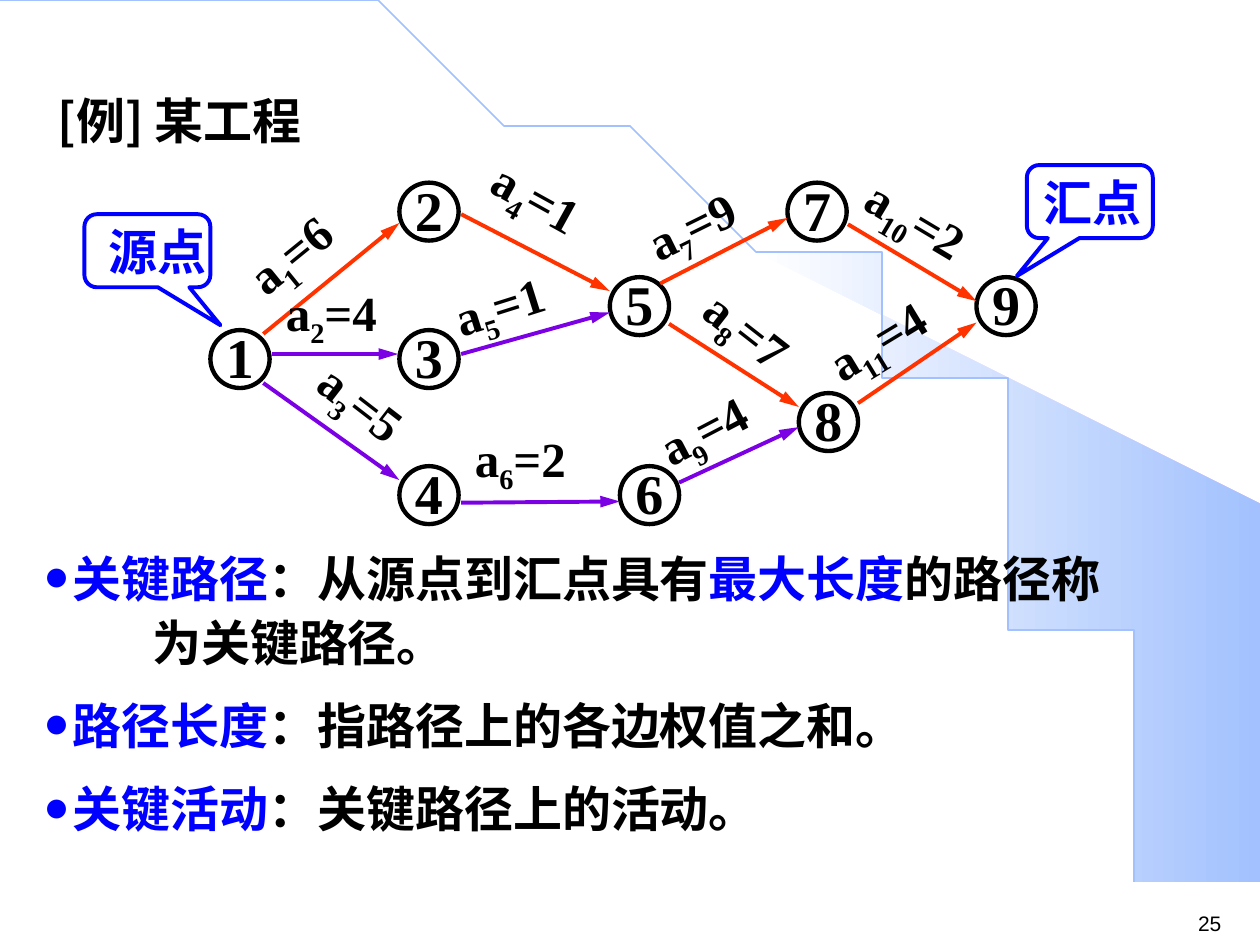
"""Build the slide on critical paths in an activity-on-edge network."""
from math import asin, cos, pi, sin

from lxml.etree import SubElement
from pptx import Presentation
from pptx.dml.color import RGBColor
from pptx.enum.shapes import MSO_CONNECTOR, MSO_SHAPE
from pptx.enum.text import MSO_ANCHOR, PP_ALIGN
from pptx.oxml.ns import qn
from pptx.util import Inches, Pt

THEME = {
    "black": RGBColor(0x00, 0x00, 0x00),
    "blue": RGBColor(0x00, 0x00, 0xFF),
    "critical": RGBColor(0xFF, 0x33, 0x00),
    "normal": RGBColor(0x7B, 0x00, 0xE4),
    "white": RGBColor(0xFF, 0xFF, 0xFF),
    "sky": RGBColor(0xA2, 0xC1, 0xFE),
    "cjk": "Noto Sans CJK SC",
    "latin": "Times New Roman",
    "number": "Arial",
    "body_size": Pt(28),
    "node_size": Pt(32),
    "number_size": Pt(12),
}

TITLE = "[例] 某工程"
DEFINITIONS = [
    {"bullet": True, "before": 0, "left": 0.21,
     "runs": [("关键路径", "blue"), ("：从源点到汇点具有", "black"),
              ("最大长度", "blue"), ("的路径称", "black")]},
    {"bullet": False, "before": 0, "left": 0.84,
     "runs": [("为关键路径。", "black")]},
    {"bullet": True, "before": 11, "left": 0.21,
     "runs": [("路径长度", "blue"), ("：指路径上的各边权值之和。", "black")]},
    {"bullet": True, "before": 11, "left": 0.21,
     "runs": [("关键活动", "blue"), ("：关键路径上的活动。", "black")]},
]
PAGE_NUMBER = "25"

NODE_WIDTH, NODE_HEIGHT = 0.47, 0.46
NODES = {
    "1": (1.67, 2.62), "2": (3.17, 1.45), "3": (3.17, 2.62),
    "4": (3.17, 3.70), "5": (4.84, 2.20), "6": (4.92, 3.70),
    "7": (6.25, 1.45), "8": (6.34, 3.12), "9": (7.75, 2.20),
}
# index, weight, kind, start, end, label left and top, label rotation
ACTIVITIES = [
    ("1", 6, "critical", (2.09, 2.65), (3.17, 1.77), (1.81, 1.65), 320.9),
    ("2", 4, "normal", (2.16, 2.81), (3.16, 2.81), (2.17, 2.19), 0),
    ("3", 5, "normal", (2.09, 3.04), (3.17, 3.81), (2.36, 3.06), 37.7),
    ("4", 1, "critical", (3.66, 1.70), (4.84, 2.31), (3.77, 1.40), 28.9),
    ("5", 1, "normal", (3.66, 2.81), (4.84, 2.48), (3.49, 2.06), 342.4),
    ("6", 2, "normal", (3.66, 3.99), (4.92, 3.98), (3.67, 3.35), 0),
    ("7", 9, "critical", (5.24, 2.25), (6.25, 1.73), (5.00, 1.39), 333.8),
    ("8", 7, "critical", (5.31, 2.57), (6.34, 3.23), (5.42, 2.48), 38),
    ("9", 4, "normal", (5.39, 3.83), (6.34, 3.39), (5.09, 3.01), 332.4),
    ("10", 2, "critical", (6.73, 1.78), (7.75, 2.39), (6.73, 1.55), 30.9),
    ("11", 4, "critical", (6.81, 3.20), (7.75, 2.56), (6.42, 2.31), 328.8),
]
LABEL_WIDTHS = {"1": 1.17}
# text, left, top, horizontal tail offset, left inset
CALLOUTS = [("汇点", 8.15, 1.31, -0.58, 0.04), ("源点", 0.67, 1.70, 0.58, 0.16)]
ARC_WIDTH, ARC_HEIGHT = 9.2, 7.49


def apply(target, values):
    """Set each named attribute of the target."""
    for name, value in values.items():
        setattr(target, name, value)


def add_run(paragraph, text, color="black", size="body_size", font="cjk", bold=True):
    """Append a styled run and return it."""
    run = paragraph.add_run()
    run.text = text
    apply(run.font, {"name": THEME[font], "size": THEME[size], "bold": bold})
    run.font.color.rgb = THEME[color]
    east_asian = SubElement(run.font._element, qn("a:ea"))
    east_asian.set("typeface", THEME["cjk"])
    return run


def add_text_box(slide, left, top, width, height):
    """Add a wrapping text box."""
    box = slide.shapes.add_textbox(*map(Inches, (left, top, width, height)))
    box.text_frame.word_wrap = True
    return box


def add_outline(slide, kind, bounds, color, weight, insets):
    """Add an unfilled preset shape whose text is centred."""
    shape = slide.shapes.add_shape(kind, *map(Inches, bounds))
    shape.shadow.inherit = False
    shape.fill.background()
    shape.line.color.rgb = THEME[color]
    shape.line.width = Pt(weight)
    left, bottom = map(Inches, insets)
    apply(shape.text_frame, {
        "margin_left": left, "margin_right": 0, "margin_top": 0,
        "margin_bottom": bottom, "word_wrap": False,
        "vertical_anchor": MSO_ANCHOR.MIDDLE})
    shape.text_frame.paragraphs[0].alignment = PP_ALIGN.CENTER
    return shape


def arc_points(start_angle, steps=60):
    """Return points on the quarter ellipse, ending at its foot."""
    angles = [start_angle + (pi / 2 - start_angle) * step / steps
              for step in range(steps + 1)]
    return [(ARC_WIDTH * sin(angle), ARC_HEIGHT * (1 - cos(angle))) for angle in angles]


def add_freeform(slide, points, close):
    """Add a freeform through points given in inches."""
    builder = slide.shapes.build_freeform(*points[0], scale=Inches(1))
    builder.add_line_segments(points[1:], close=close)
    shape = builder.convert_to_shape()
    shape.shadow.inherit = False
    return shape


def add_background(slide):
    """Draw the shaded wedge and the sweeping arc."""
    wedge_points = arc_points(asin(5.89 / ARC_WIDTH)) + [(10, ARC_HEIGHT), (10, 4.23)]
    wedge = add_freeform(slide, wedge_points, True)
    wedge.line.fill.background()
    wedge.fill.gradient()
    wedge.fill.gradient_angle = 0
    for stop, color in zip(wedge.fill.gradient_stops, ("white", "sky")):
        stop.color.rgb = THEME[color]
    arc = add_freeform(slide, arc_points(0), False)
    arc.fill.background()
    arc.line.color.rgb = THEME["sky"]
    arc.line.width = Pt(1)


def add_activity(slide, index, weight, kind, start, end, label_at, rotation):
    """Draw an activity arrow and its label."""
    arrow = slide.shapes.add_connector(
        MSO_CONNECTOR.STRAIGHT, *map(Inches, (*start, *end)))
    arrow.line.color.rgb = THEME[kind]
    arrow.line.width = Pt(2.25)
    properties = arrow._element.spPr
    head = SubElement(properties.find(qn("a:ln")), qn("a:tailEnd"))
    for name, value in {"type": "triangle", "w": "med", "len": "lg"}.items():
        head.set(name, value)
    SubElement(properties, qn("a:effectLst"))
    label = add_text_box(slide, *label_at, LABEL_WIDTHS.get(index, 1.42), 0.57)
    label.rotation = rotation
    paragraph = label.text_frame.paragraphs[0]
    add_run(paragraph, "a", font="latin")
    subscript = add_run(paragraph, index, font="latin")
    subscript.font._element.set("baseline", "-25000")
    add_run(paragraph, f"={weight}", font="latin")


def add_definitions(slide):
    """Write the bulleted definitions."""
    frame = add_text_box(slide, 0.27, 4.26, 9.37, 2.5).text_frame
    for number, definition in enumerate(DEFINITIONS):
        paragraph = frame.add_paragraph() if number else frame.paragraphs[0]
        apply(paragraph, {"line_spacing": Pt(36.6),
                          "space_before": Pt(definition["before"])})
        properties = paragraph._element.get_or_add_pPr()
        left = Inches(definition["left"])
        properties.set("marL", str(left))
        if definition["bullet"]:
            properties.set("indent", str(-left))
            color = SubElement(properties, qn("a:buClr"))
            SubElement(color, qn("a:srgbClr")).set("val", str(THEME["blue"]))
            for tag, name, value in (("a:buSzPct", "val", "43000"),
                                     ("a:buFont", "typeface", THEME["cjk"]),
                                     ("a:buChar", "char", "●")):
                SubElement(properties, qn(tag)).set(name, value)
        for text, color in definition["runs"]:
            add_run(paragraph, text, color)


def main():
    """Assemble and save the slide."""
    presentation = Presentation()
    apply(presentation, {"slide_width": Inches(10), "slide_height": Inches(7.5)})
    slide = presentation.slides.add_slide(presentation.slide_layouts[6])
    add_background(slide)
    page = add_text_box(slide, 9.41, 7.18, 0.59, 0.3)
    add_run(page.text_frame.paragraphs[0], PAGE_NUMBER,
            size="number_size", font="number", bold=False)
    title = add_text_box(slide, 0.36, 0.63, 9, 0.65).text_frame.paragraphs[0]
    title.line_spacing = Pt(36.6)
    add_run(title, TITLE)
    add_definitions(slide)
    for name, position in NODES.items():
        node = add_outline(slide, MSO_SHAPE.OVAL, (*position, NODE_WIDTH, NODE_HEIGHT),
                           "black", 2.5, (0, 0.04))
        add_run(node.text_frame.paragraphs[0], name, size="node_size", font="latin")
    for activity in ACTIVITIES:
        add_activity(slide, *activity)
    for text, left, top, tail, inset in CALLOUTS:
        callout = add_outline(slide, MSO_SHAPE.ROUNDED_RECTANGULAR_CALLOUT,
                              (left, top, 1, 0.58), "blue", 2.25, (inset, 0))
        for position, value in enumerate((tail, 1.02, 0.17)):
            callout.adjustments[position] = value
        add_run(callout.text_frame.paragraphs[0], text, "blue", font="latin")
    presentation.save("out.pptx")


if __name__ == "__main__":
    main()
